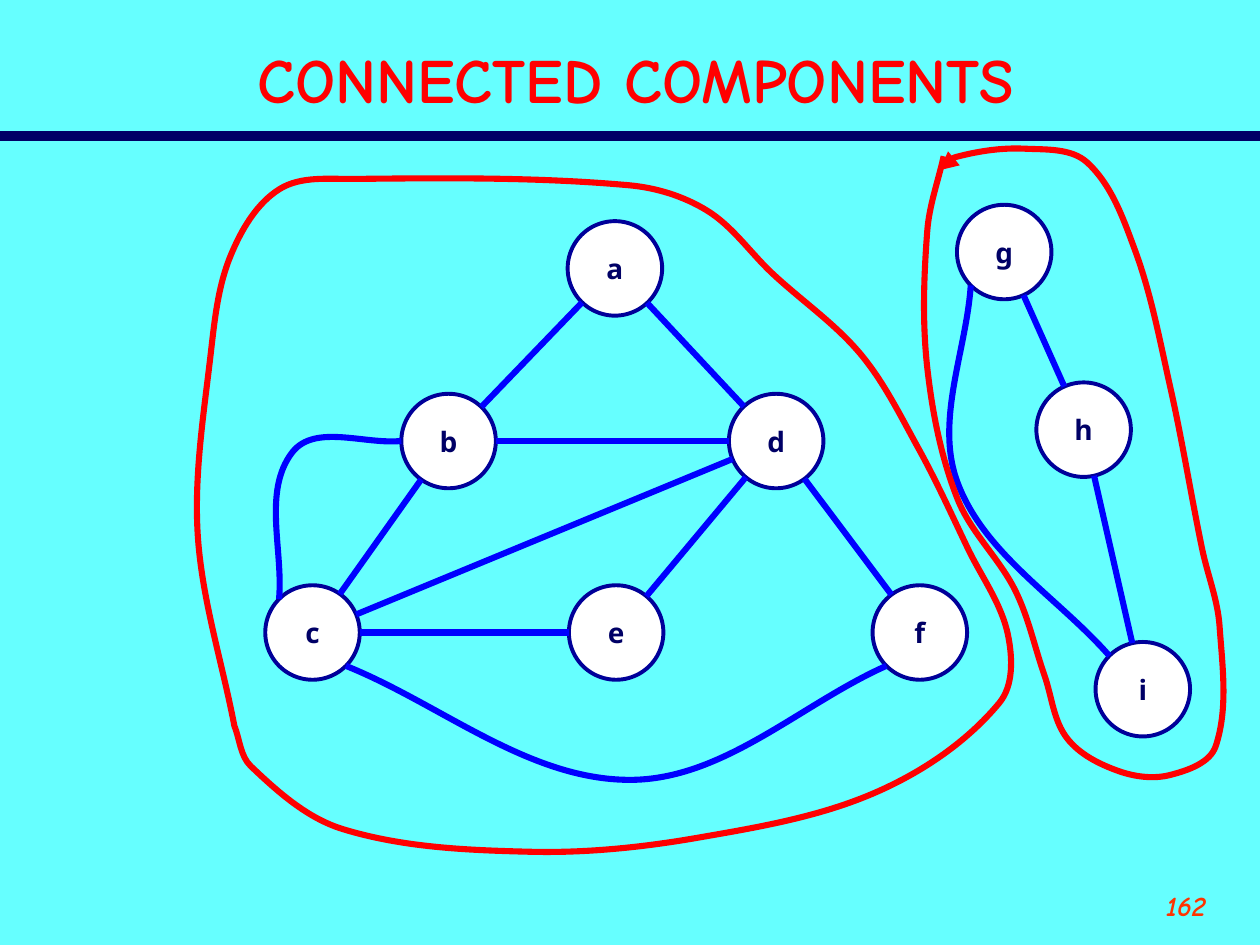
import math
import pptx
import pptx.dml.color
import pptx.enum.shapes
import pptx.enum.text
import pptx.oxml
import pptx.oxml.ns
import pptx.util

RGBColor = pptx.dml.color.RGBColor
PP_ALIGN = pptx.enum.text.PP_ALIGN
MIDDLE = pptx.enum.text.MSO_ANCHOR.MIDDLE

AQUA = RGBColor(0x66, 0xFF, 0xFF)
NAVY = RGBColor(0x00, 0x00, 0x66)
OUTLINE_BLUE = RGBColor(0x00, 0x00, 0x99)
EDGE_BLUE = RGBColor(0x00, 0x00, 0xFF)
RED = RGBColor(0xFF, 0x00, 0x00)
ORANGE = RGBColor(0xFF, 0x33, 0x00)
WHITE = RGBColor(0xFF, 0xFF, 0xFF)

COLUMNS, ROWS = 10, 7.5
CELL = pptx.util.Inches(1)
RULE_ROW = 1.08
RADIUS = 0.375
STROKE = 3.5

NODE_ROWS = [
    ("a", 4.88, 2.13, 0),
    ("bd", 3.56, 3.5, 2.6),
    ("cef", 2.48, 5.02, 2.41),
    ("g", 7.97, 2, 0),
    ("h", 8.6, 3.41, 0),
    ("i", 9.07, 5.47, 0),
]
STRAIGHT_EDGES = ["ab", "bc", "ad", "df", "de", "ec", "dc", "bd", "gh", "hi"]
COMPASS = {"W": 180, "NW": 225, "SW": 135, "SE": 45}
CURVED_EDGES = [
    ("f", "SW", (5, 6.19), "c", "SE"),
    ("c", "NW", (2.32, 3.59), "b", "W"),
    ("i", "NW", (7.6, 3.83), "g", "SW"),
]
LARGE_COMPONENT = {
    "left": [(1.86, 5.76), (1.57, 4.25), (1.67, 2.83), (1.83, 2.03)],
    "top": [(2.22, 1.5), (2.81, 1.42), (4.99, 1.47), (5.61, 1.67)],
    "right": [(6.13, 2.17), (6.83, 2.81), (7.29, 3.56), (7.68, 4.35),
              (8, 5.04), (7.93, 5.58)],
    "bottom": [(6.97, 6.28), (5.53, 6.65), (4.2, 6.76), (2.72, 6.58),
               (1.99, 6.08), (1.86, 5.76)],
}
SMALL_COMPONENT = {
    "left": [(7.49, 1.24), (7.36, 1.83), (7.36, 2.92), (7.6, 3.96),
             (8.06, 4.69), (8.29, 5.36)],
    "bottom": [(8.47, 5.86), (8.88, 6.12), (9.29, 6.15), (9.65, 5.92)],
    "right": [(9.68, 4.97), (9.54, 4.35), (9.29, 3.08), (9.01, 1.99)],
    "top": [(8.63, 1.29), (8.13, 1.18), (7.61, 1.24), (7.46, 1.35)],
}


def grid(*cells):
    return [round(cell * CELL) for cell in cells]


def toward(point, angle, distance):
    x, y = point
    return x + distance * math.cos(angle), y + distance * math.sin(angle)


def heading(start, end):
    return math.atan2(end[1] - start[1], end[0] - start[0])


def node_centers():
    return {
        name: (first_x + index * gap, y)
        for names, first_x, y, gap in NODE_ROWS
        for index, name in enumerate(names)
    }


def smooth(anchors):
    padded = [anchors[0], *anchors, anchors[-1]]
    headings = [heading(before, after) for before, after in zip(padded, padded[2:])]
    points = [anchors[0]]
    for index, (start, end) in enumerate(zip(anchors, anchors[1:])):
        reach = math.dist(start, end) / 3
        points += [
            toward(start, headings[index], reach),
            toward(end, headings[index + 1], -reach),
            end,
        ]
    return points


def drawing_element(tag, attributes=""):
    namespace = pptx.oxml.ns.nsdecls("a")
    return pptx.oxml.parse_xml(f"<a:{tag} {namespace} {attributes}/>")


def style_line(line, color, weight):
    line.color.rgb = color
    line.width = pptx.util.Pt(weight)


def write(shape, text, face, size, color, alignment):
    paragraph = shape.text_frame.paragraphs[0]
    paragraph.text = text
    paragraph.alignment = alignment
    paragraph.font.name = face
    paragraph.font.size = pptx.util.Pt(size)
    paragraph.font.bold = True
    paragraph.font.color.rgb = color


def add_label(slide, box, text, size, color, alignment):
    label = slide.shapes.add_textbox(*grid(*box))
    label.text_frame.word_wrap = True
    write(label, text, "Comic Neue", size, color, alignment)
    return label.text_frame


def add_line(slide, start, end, color, weight):
    line = slide.shapes.add_connector(
        pptx.enum.shapes.MSO_CONNECTOR.STRAIGHT, *grid(*start, *end))
    style_line(line.line, color, weight)
    line._element.spPr.append(drawing_element("effectLst"))


def add_node(slide, name, center):
    x, y = center
    node = slide.shapes.add_shape(
        pptx.enum.shapes.MSO_SHAPE.OVAL,
        *grid(x - RADIUS, y - RADIUS, 2 * RADIUS, 2 * RADIUS))
    node.shadow.inherit = False
    node.fill.solid()
    node.fill.fore_color.rgb = WHITE
    style_line(node.line, OUTLINE_BLUE, 2.25)
    node.text_frame.word_wrap = False
    node.text_frame.vertical_anchor = MIDDLE
    write(node, name, "Noto Sans", 16, NAVY, PP_ALIGN.CENTER)


def add_straight_edge(slide, start, end):
    angle = heading(start, end)
    add_line(slide, toward(start, angle, RADIUS), toward(end, angle, -RADIUS),
             EDGE_BLUE, STROKE)


def add_curve(slide, anchors, color):
    first, *others = [grid(*point) for point in smooth(anchors)]
    builder = slide.shapes.build_freeform(*first)
    builder.add_line_segments(others, close=anchors[0] == anchors[-1])
    curve = builder.convert_to_shape()
    segments = curve._element.findall(".//" + pptx.oxml.ns.qn("a:lnTo"))
    for index in range(0, len(segments), 3):
        bezier = drawing_element("cubicBezTo")
        segments[index].addprevious(bezier)
        for segment in segments[index:index + 3]:
            bezier.append(segment[0])
            segment.getparent().remove(segment)
    curve.shadow.inherit = False
    curve.fill.background()
    style_line(curve.line, color, STROKE)
    return curve


def add_component_loop(slide, sides):
    return add_curve(slide, sum(sides.values(), []), RED)


def add_graph(slide):
    centers = node_centers()
    for name, center in centers.items():
        add_node(slide, name, center)
    for start, end in STRAIGHT_EDGES:
        add_straight_edge(slide, centers[start], centers[end])
    for start, leaving, bend, end, arriving in CURVED_EDGES:
        departure, arrival = [
            toward(centers[name], math.radians(COMPASS[side]), RADIUS)
            for name, side in ((start, leaving), (end, arriving))
        ]
        add_curve(slide, [departure, bend, arrival], EDGE_BLUE)


def main():
    presentation = pptx.Presentation()
    presentation.slide_width, presentation.slide_height = grid(COLUMNS, ROWS)
    slide = presentation.slides.add_slide(presentation.slide_layouts[6])
    slide.background.fill.solid()
    slide.background.fill.fore_color.rgb = AQUA

    add_line(slide, (0, RULE_ROW), (COLUMNS, RULE_ROW), NAVY, 6)
    page_number = add_label(slide, (8.67, 7, 1, 0.5), "162", 16, ORANGE, PP_ALIGN.RIGHT)
    page_number.paragraphs[0].font.italic = True
    title = add_label(slide, (0.42, 0.25, 9.25, 0.75), "CONNECTED COMPONENTS",
                      36, RED, PP_ALIGN.CENTER)
    title.vertical_anchor = MIDDLE

    add_graph(slide)
    add_component_loop(slide, LARGE_COMPONENT)
    small_loop = add_component_loop(slide, SMALL_COMPONENT)
    small_loop.line._get_or_add_ln().append(
        drawing_element("tailEnd", 'type="triangle"'))

    presentation.save("out.pptx")


if __name__ == "__main__":
    main()
